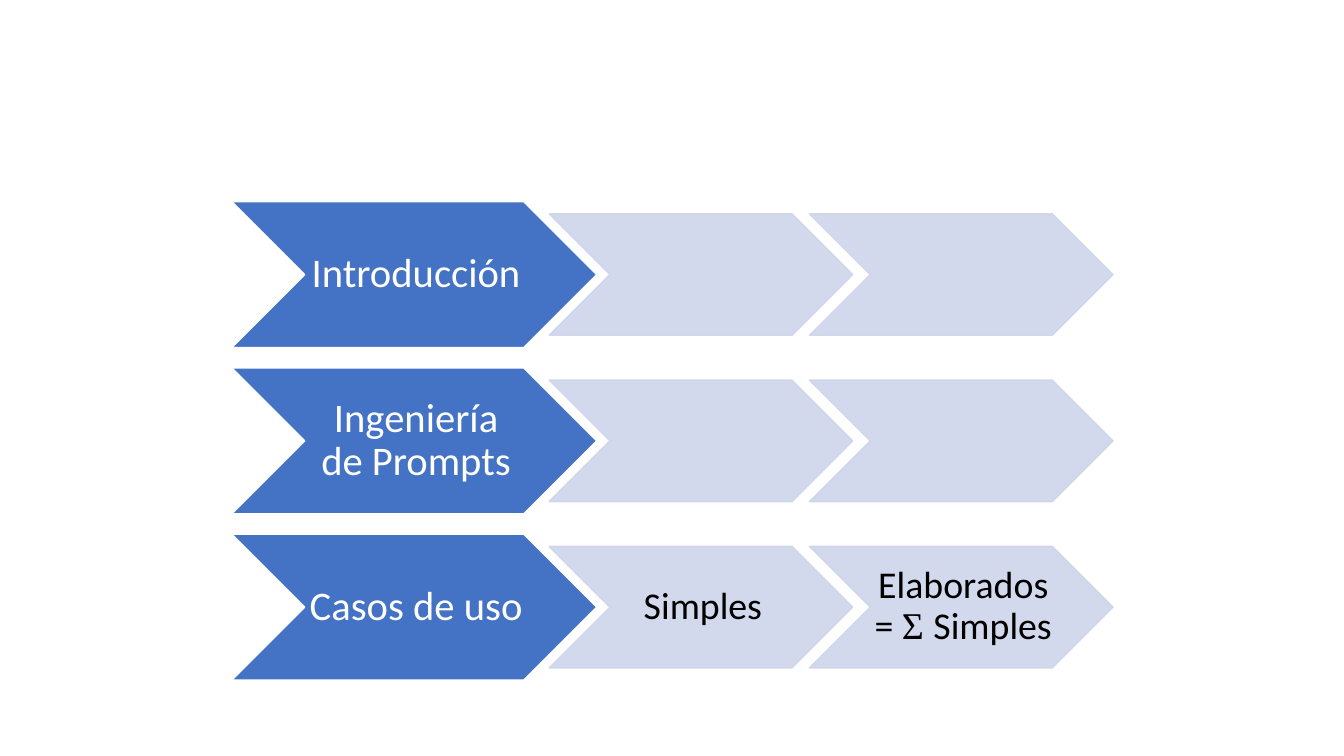
from lxml import etree
from pptx import Presentation
from pptx import util as u
from pptx.dml import color as c
from pptx.enum import shapes, text
from pptx.oxml import ns

LEAD_COLOR, STEP_COLOR = "4472C4", "CFD5EA"
LEAD_HEIGHT, STEP_HEIGHT = 3.68, 3.06
ASPECT = 2.5
LEAD_LEFT, STEP_LEFTS = 5.84, (13.84, 20.4)
FIRST_TOP, ROW_PITCH = 5.08, 4.19
SANS, SERIF = "Calibri", "Times New Roman"

# Each row: runs of the lead chevron, then of its two steps.
ROWS = [
    ([("Introducción", SANS)], [], []),
    ([("Ingeniería de Prompts", SANS)], [], []),
    ([("Casos de uso", SANS)],
     [("Simples", SANS)],
     [("Elaborados = ", SANS), ("Σ ", SERIF), ("Simples", SANS)]),
]


def rgb(value):
    """Turn a hex string into a colour."""
    return c.RGBColor.from_string(value)


def paint(fill, color, opacity):
    """Give a fill a solid colour, with an opacity in percent."""
    fill.solid()
    fill.fore_color.rgb = rgb(color)
    if opacity < 100:
        for node in fill._xPr.iter(ns.qn("a:srgbClr")):
            if node.find(ns.qn("a:alpha")) is None:
                alpha = etree.SubElement(node, ns.qn("a:alpha"))
                alpha.set("val", str(opacity * 1000))


def write(shape, runs, size, color):
    """Write centred runs of (wording, font) into a shape."""
    frame = shape.text_frame
    frame.word_wrap = True
    frame.vertical_anchor = text.MSO_ANCHOR.MIDDLE
    frame.margin_left, frame.margin_right = u.Cm(0.1), u.Cm(0)
    frame.margin_top = frame.margin_bottom = u.Cm(0.05)
    paragraph = frame.paragraphs[0]
    paragraph.alignment = text.PP_ALIGN.CENTER
    paragraph.line_spacing = 0.9
    for wording, font in runs:
        run = paragraph.add_run()
        run.text = wording
        run.font.name = font
        run.font.size = u.Pt(size)
        run.font.color.rgb = rgb(color)


def add_chevron(slide, left, top, height, color, line_color, opacity=100):
    """Add a chevron whose width follows from its height."""
    shape = slide.shapes.add_shape(
        shapes.MSO_SHAPE.CHEVRON,
        u.Cm(left), u.Cm(top), u.Cm(height * ASPECT), u.Cm(height))
    shape.shadow.inherit = False
    paint(shape.fill, color, opacity)
    paint(shape.line.fill, line_color, opacity)
    shape.line.width = u.Pt(1)
    return shape


def add_row(slide, top, lead_runs, *step_runs):
    """Add a lead chevron followed by its smaller steps."""
    lead = add_chevron(slide, LEAD_LEFT, top, LEAD_HEIGHT, LEAD_COLOR, "FFFFFF")
    write(lead, lead_runs, 29, "FFFFFF")
    step_top = top + (LEAD_HEIGHT - STEP_HEIGHT) / 2
    for left, runs in zip(STEP_LEFTS, step_runs):
        step = add_chevron(slide, left, step_top, STEP_HEIGHT,
                           STEP_COLOR, STEP_COLOR, 90)
        if runs:
            write(step, runs, 27, "000000")


def main():
    """Build the slide and save it."""
    presentation = Presentation()
    presentation.slide_width = u.Cm(33.87)
    presentation.slide_height = u.Cm(19.05)
    slide = presentation.slides.add_slide(presentation.slide_layouts[6])
    for index, row in enumerate(ROWS):
        add_row(slide, FIRST_TOP + index * ROW_PITCH, *row)
    presentation.save("out.pptx")


main()
